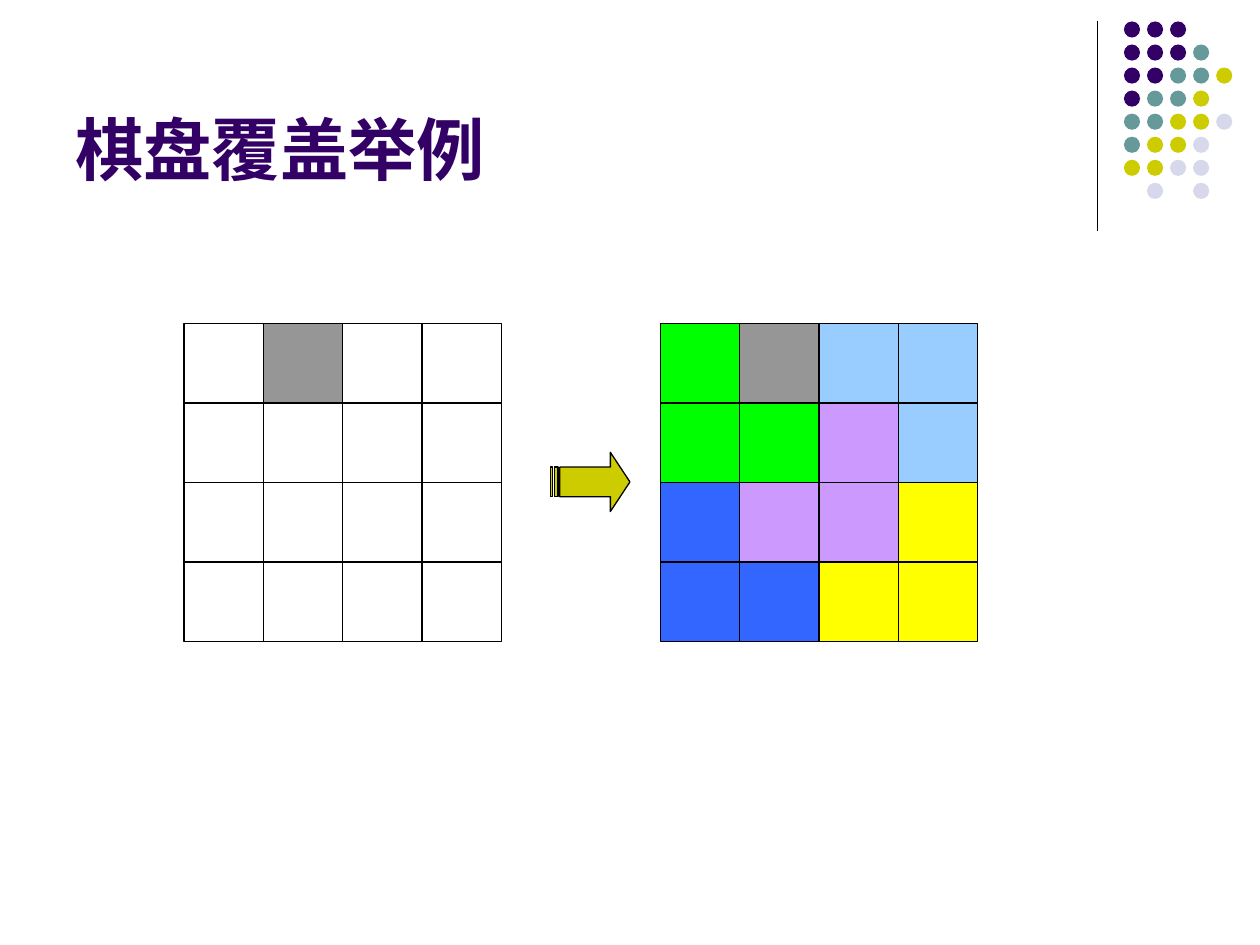
from lxml import etree
from pptx import Presentation
from pptx.dml.color import RGBColor
from pptx.enum.shapes import MSO_CONNECTOR, MSO_SHAPE
from pptx.enum.text import MSO_ANCHOR
from pptx.oxml.ns import qn
from pptx.util import Inches, Pt

RECT = MSO_SHAPE.RECTANGLE
OVAL = MSO_SHAPE.OVAL
ARROW = MSO_SHAPE.STRIPED_RIGHT_ARROW
STRAIGHT = MSO_CONNECTOR.STRAIGHT
BOTTOM = MSO_ANCHOR.BOTTOM

COLORS = {
    "black": "000000",
    "indigo": "330066",
    "teal": "669999",
    "olive": "CCCC00",
    "lavender": "D8D8EC",
    "white": "FFFFFF",
    "gray": "969696",
    "sky": "99CCFF",
    "yellow": "FFFF00",
    "blue": "3366FF",
    "green": "00FF00",
    "violet": "CC99FF",
}
COLUMNS, ROWS = 100, 75
CELL = 6.3
BOARD_TOP = 25.7

DOTS = ["III", "IIIT", "IITTO", "ITTO", "TTOOL", "TOOL", "OOLL", " L L"]
DOT_COLORS = {"I": "indigo", "T": "teal", "O": "olive", "L": "lavender"}
EMPTY_BOARD = ["WXWW", "WWWW", "WWWW", "WWWW"]
COVERED_BOARD = ["GXSS", "GGVS", "BVVY", "BBYY"]
CELL_COLORS = {"W": "white", "X": "gray", "S": "sky", "Y": "yellow",
               "B": "blue", "G": "green", "V": "violet"}


class Deck:
    font = "Arial"
    line_width = Pt(0.75)

    def __init__(self):
        self.prs = Presentation()
        self.prs.slide_width, self.prs.slide_height = Inches(10), Inches(7.5)
        self.slide = self.prs.slides.add_slide(self.prs.slide_layouts[6])

    def x(self, columns):
        return round(self.prs.slide_width * columns / COLUMNS)

    def y(self, rows):
        return round(self.prs.slide_height * rows / ROWS)

    def box(self, left, top, width, height):
        return self.x(left), self.y(top), self.x(width), self.y(height)

    def color(self, name):
        return RGBColor.from_string(COLORS[name])

    def shape(self, kind, box, fill, outlined=True, parent=None):
        shapes = (parent or self.slide).shapes
        sp = shapes.add_shape(kind, *self.box(*box))
        sp.shadow.inherit = False
        sp.fill.solid()
        sp.fill.fore_color.rgb = self.color(fill)
        if outlined:
            sp.line.color.rgb = self.color("black")
            sp.line.width = self.line_width
        else:
            sp.line.fill.background()
        return sp

    def line(self, x1, y1, x2, y2):
        sp = self.slide.shapes.add_connector(
            STRAIGHT, self.x(x1), self.y(y1), self.x(x2), self.y(y2))
        sp.line.color.rgb = self.color("black")
        sp.line.width = self.line_width
        etree.SubElement(sp._element.spPr, qn("a:effectLst"))

    def title(self, text, box):
        sp = self.slide.shapes.add_textbox(*self.box(*box))
        tf = sp.text_frame
        tf.word_wrap = True
        tf.vertical_anchor = BOTTOM
        p = tf.paragraphs[0]
        p.text = text
        p.font.name = self.font
        p.font.size = Pt(39)
        p.font.bold = True
        p.font.color.rgb = self.color("indigo")

    def pattern(self, kind, rows, palette, left, top, pitch, size, outlined):
        groups = {}
        for i, row in enumerate(rows):
            for j, key in enumerate(row):
                if key not in palette:
                    continue
                if key not in groups:
                    groups[key] = self.slide.shapes.add_group_shape()
                box = (left + j * pitch, top + i * pitch, size, size)
                self.shape(kind, box, palette[key], outlined, groups[key])

    def board(self, rows, left):
        self.pattern(RECT, rows, CELL_COLORS, left, BOARD_TOP, CELL, CELL, True)

    def arrow(self, box, shaft, head):
        sp = self.shape(ARROW, box, "olive")
        sp.adjustments[0], sp.adjustments[1] = shaft, head


def main():
    deck = Deck()
    deck.line(87.1, 1.7, 87.1, 18.3)
    deck.pattern(OVAL, DOTS, DOT_COLORS, 89.2, 1.7, 1.83, 1.28, False)
    deck.title("棋盘覆盖举例", (5, 1.3, 82.5, 14.2))
    deck.board(EMPTY_BOARD, 14.6)
    deck.board(COVERED_BOARD, 52.4)
    deck.arrow((43.7, 35.9, CELL, 4.7), 0.5, 0.33)
    deck.prs.save("out.pptx")


if __name__ == "__main__":
    main()
